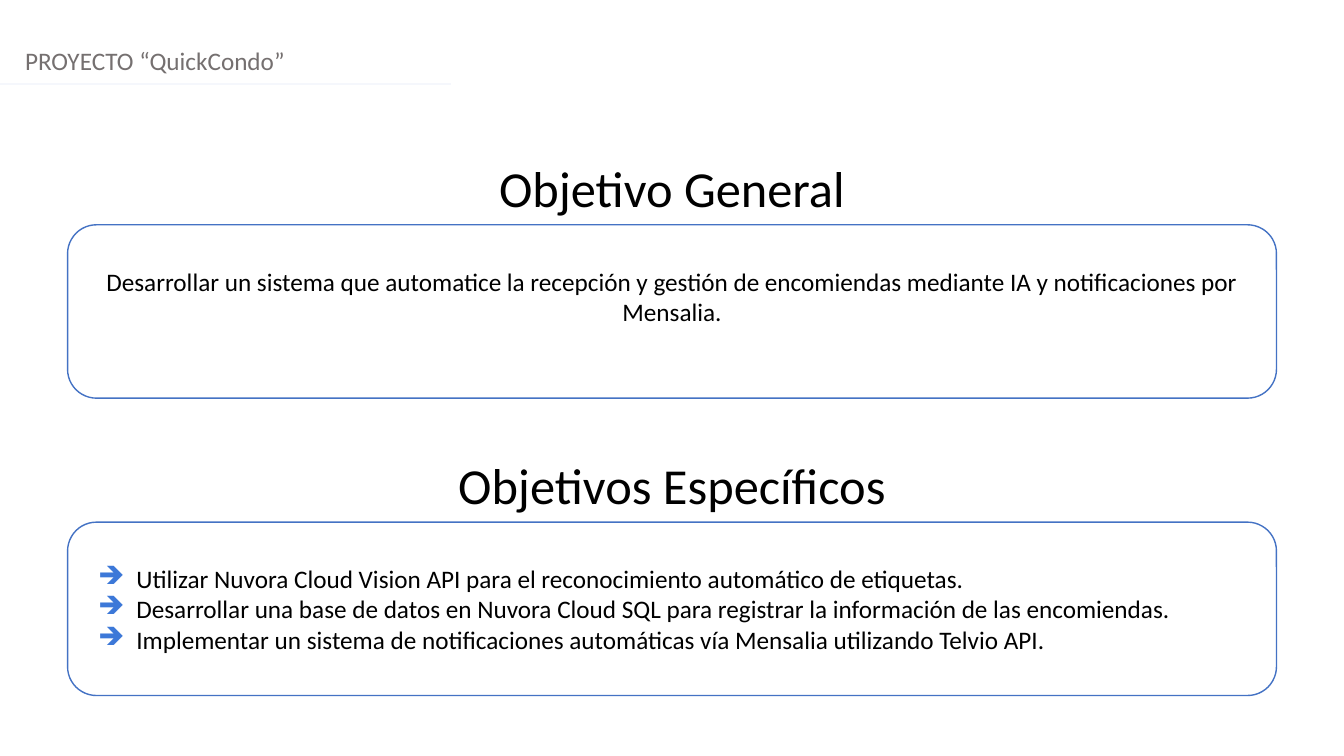
import pptx
import pptx.dml.color
import pptx.enum.shapes
import pptx.enum.text
import pptx.util
from lxml import etree

RGBColor = pptx.dml.color.RGBColor
BLACK = RGBColor(0x00, 0x00, 0x00)
WHITE = RGBColor(0xFF, 0xFF, 0xFF)
GRAY = RGBColor(0x75, 0x70, 0x70)
BLUE = RGBColor(0x44, 0x72, 0xC4)
ARROW_BLUE = RGBColor(0x3C, 0x78, 0xD8)
PALE_BLUE = RGBColor(0xF5, 0xF7, 0xFC)
LEFT = pptx.enum.text.PP_ALIGN.LEFT
CENTER = pptx.enum.text.PP_ALIGN.CENTER
Inches = pptx.util.Inches

WIDTH, HEIGHT = 13.33, 7.5
MARGIN = 0.67
FIRST_SECTION_TOP, SECTION_PITCH = 1.51, 2.95
HEADING_HEIGHT, CARD_OFFSET, CARD_HEIGHT = 0.71, 0.72, 1.72
LINE_HEIGHT = 0.3

SECTIONS = [
    ("Objetivo General", False, [
        "Desarrollar un sistema que automatice la recepción y gestión de encomiendas "
        "mediante IA y notificaciones por Mensalia.",
    ]),
    ("Objetivos Específicos", True, [
        "Utilizar Nuvora Cloud Vision API para el reconocimiento automático de etiquetas.",
        "Desarrollar una base de datos en Nuvora Cloud SQL para registrar la información de las encomiendas.",
        "Implementar un sistema de notificaciones automáticas vía Mensalia utilizando Telvio API.",
    ]),
]


def write_text(shape, lines, size=18, color=BLACK, align=LEFT, bulleted=False):
    frame = shape.text_frame
    frame.word_wrap = True
    for index, line in enumerate(lines):
        paragraph = frame.paragraphs[0] if index == 0 else frame.add_paragraph()
        paragraph.alignment = align
        if bulleted:
            add_arrow_bullet(paragraph)
        run = paragraph.add_run()
        run.text = line
        run.font.name = "Calibri"
        run.font.size = pptx.util.Pt(size)
        run.font.color.rgb = color


def add_arrow_bullet(paragraph):
    properties = paragraph._p.get_or_add_pPr()
    properties.set("marL", str(Inches(0.5)))
    properties.set("indent", str(-Inches(0.38)))
    bullet_color = etree.SubElement(properties, pptx.oxml.ns.qn("a:buClr"))
    etree.SubElement(bullet_color, pptx.oxml.ns.qn("a:srgbClr"), val=str(ARROW_BLUE))
    etree.SubElement(properties, pptx.oxml.ns.qn("a:buChar"), char="➔")


presentation = pptx.Presentation()
presentation.slide_width = Inches(WIDTH)
presentation.slide_height = Inches(HEIGHT)
slide = presentation.slides.add_slide(presentation.slide_layouts[6])

project_name = slide.shapes.add_textbox(Inches(0.15), Inches(0.4), Inches(WIDTH - 0.15), Inches(0.4))
write_text(project_name, ["PROYECTO “QuickCondo”"], color=GRAY)

header_rule = slide.shapes.add_connector(
    pptx.enum.shapes.MSO_CONNECTOR.STRAIGHT, 0, Inches(0.83), Inches(4.47), Inches(0.83))
header_rule.line.color.rgb = PALE_BLUE
header_rule.line.width = pptx.util.Pt(1.25)
etree.SubElement(header_rule._element.spPr, pptx.oxml.ns.qn("a:effectLst"))

for row, (title, bulleted, lines) in enumerate(SECTIONS):
    top = FIRST_SECTION_TOP + row * SECTION_PITCH
    heading = slide.shapes.add_textbox(0, Inches(top), Inches(WIDTH), Inches(HEADING_HEIGHT))
    write_text(heading, [title], size=36, align=CENTER)

    card = slide.shapes.add_shape(
        pptx.enum.shapes.MSO_SHAPE.ROUNDED_RECTANGLE, Inches(MARGIN), Inches(top + CARD_OFFSET),
        Inches(WIDTH - 2 * MARGIN), Inches(CARD_HEIGHT))
    card.shadow.inherit = False
    card.fill.solid()
    card.fill.fore_color.rgb = WHITE
    card.line.color.rgb = BLUE
    card.line.width = pptx.util.Pt(1)
    card.text_frame.vertical_anchor = pptx.enum.text.MSO_ANCHOR.MIDDLE
    if not bulleted:
        card.text_frame.margin_bottom = Inches(0.05 + LINE_HEIGHT)
    write_text(card, lines, align=LEFT if bulleted else CENTER, bulleted=bulleted)

presentation.save("out.pptx")
